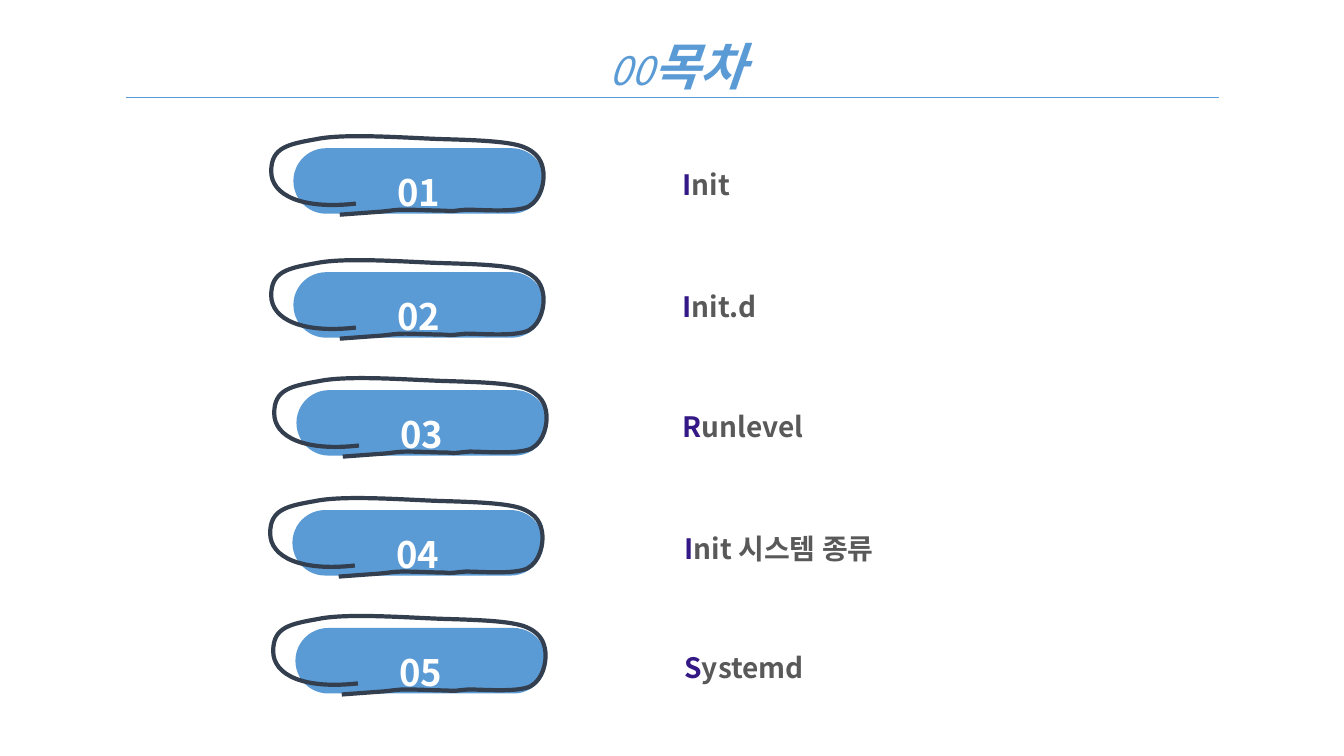
from pptx import Presentation
from pptx.dml.color import RGBColor
from pptx.enum.shapes import MSO_CONNECTOR, MSO_SHAPE
from pptx.enum.text import MSO_ANCHOR, MSO_AUTO_SIZE, PP_ALIGN
from pptx.oxml.ns import qn
from pptx.util import Inches, Pt
from lxml.etree import SubElement

FONT = "Noto Sans CJK KR"
BLUE = RGBColor(0x5B, 0x9B, 0xD5)
NAVY = RGBColor(0x33, 0x3F, 0x4F)
PURPLE = RGBColor(0x34, 0x18, 0x86)
GRAY = RGBColor(0x59, 0x59, 0x59)
WHITE = RGBColor(0xFF, 0xFF, 0xFF)

TITLE = ("00", "목차")
ITEMS = [
    ("Init", (2.91, 1.47), (6.67, 1.45)),
    ("Init.d", (2.91, 2.7), (6.67, 2.66)),
    ("Runlevel", (2.94, 3.87), (6.67, 3.85)),
    ("Init 시스템 종류", (2.9, 5.06), (6.69, 5.06)),
    ("Systemd", (2.93, 6.23), (6.69, 6.24)),
]
PILL_SIZE = (2.49, 0.65)
LABEL_SIZE = (4.84, 0.6)
LOOP_OFFSET = (-0.22, -0.12)
LOOP_SIZE = (2.7, 0.78)
LOOP_STEPS = [
    ("moveTo", [(0.84, 0.67)]),
    ("cubicBezTo", [(0.31, 0.73), (0, 0.59), (0, 0.35)]),
    ("cubicBezTo", [(0, 0.11), (0.17, 0.08), (0.45, 0.03)]),
    ("cubicBezTo", [(0.74, -0.03), (1.36, 0.02), (1.69, 0.03)]),
    ("cubicBezTo", [(2.03, 0.04), (2.32, 0.05), (2.48, 0.1)]),
    ("cubicBezTo", [(2.65, 0.16), (2.69, 0.26), (2.7, 0.36)]),
    ("cubicBezTo", [(2.71, 0.45), (2.68, 0.63), (2.55, 0.7)]),
    ("cubicBezTo", [(2.42, 0.76), (2.08, 0.73), (1.94, 0.73)]),
    ("cubicBezTo", [(1.8, 0.74), (1.82, 0.75), (1.72, 0.74)]),
    ("cubicBezTo", [(1.62, 0.74), (1.43, 0.73), (1.33, 0.73)]),
    ("cubicBezTo", [(1.22, 0.73), (1.2, 0.74), (1.09, 0.75)]),
    ("lnTo", [(0.68, 0.78)]),
]


def add_run(p, text, size=20, color=GRAY, bold=True, italic=False):
    r = p.add_run()
    r.text = text
    r.font.size = Pt(size)
    r.font.bold = bold
    r.font.italic = italic
    r.font.color.rgb = color
    r.font.name = FONT
    SubElement(r.font._element, qn("a:ea"), typeface=FONT)


def first_paragraph(tf, align):
    tf.word_wrap = True
    p = tf.paragraphs[0]
    p.alignment = align
    p.line_spacing = 1.5
    return p


def add_box(s, left, top, width, height, align=PP_ALIGN.LEFT):
    box = s.shapes.add_textbox(Inches(left), Inches(top), Inches(width), Inches(height))
    box.text_frame.auto_size = MSO_AUTO_SIZE.SHAPE_TO_FIT_TEXT
    return first_paragraph(box.text_frame, align)


def add_pill(s, number, left, top):
    sp = s.shapes.add_shape(
        MSO_SHAPE.ROUNDED_RECTANGLE, Inches(left), Inches(top), *map(Inches, PILL_SIZE))
    sp.adjustments[0] = 0.5
    sp.shadow.inherit = False
    sp.fill.solid()
    sp.fill.fore_color.rgb = BLUE
    sp.line.fill.background()
    sp.text_frame.vertical_anchor = MSO_ANCHOR.MIDDLE
    add_run(first_paragraph(sp.text_frame, PP_ALIGN.CENTER), number, size=26, color=WHITE)


def add_loop(s, left, top):
    width, height = LOOP_SIZE
    builder = s.shapes.build_freeform(Inches(left), Inches(top))
    builder.add_line_segments([(Inches(left + width), Inches(top + height))], close=False)
    sp = builder.convert_to_shape()
    outline = next(sp._element.iter(qn("a:path")))
    for step in list(outline):
        outline.remove(step)
    for kind, points in LOOP_STEPS:
        step = SubElement(outline, qn(f"a:{kind}"))
        for x, y in points:
            SubElement(step, qn("a:pt"), x=str(Inches(x)), y=str(Inches(y)))
    sp.shadow.inherit = False
    sp.fill.background()
    sp.line.color.rgb = NAVY
    sp.line.width = Pt(3)


def main():
    prs = Presentation()
    prs.slide_width, prs.slide_height = Inches(13.33), Inches(7.5)
    s = prs.slides.add_slide(prs.slide_layouts[6])

    p = add_box(s, 3.56, 0, 6.33, 0.99, align=PP_ALIGN.CENTER)
    add_run(p, TITLE[0], size=28, color=BLUE, bold=False, italic=True)
    add_run(p, TITLE[1], size=36, color=BLUE, italic=True)

    rule = s.shapes.add_connector(
        MSO_CONNECTOR.STRAIGHT, Inches(1.25), Inches(0.97), Inches(12.09), Inches(0.97))
    rule.line.color.rgb = BLUE
    rule.line.width = Pt(0.5)
    SubElement(rule._element.spPr, qn("a:effectLst"))
    rule._element.remove(rule._element.find(qn("p:style")))

    for n, (label, (left, top), label_at) in enumerate(ITEMS, 1):
        add_pill(s, f"{n:02d}", left, top)
        add_loop(s, left + LOOP_OFFSET[0], top + LOOP_OFFSET[1])
        p = add_box(s, *label_at, *LABEL_SIZE)
        add_run(p, label[0], color=PURPLE)
        add_run(p, label[1:])

    prs.save("out.pptx")


if __name__ == "__main__":
    main()
